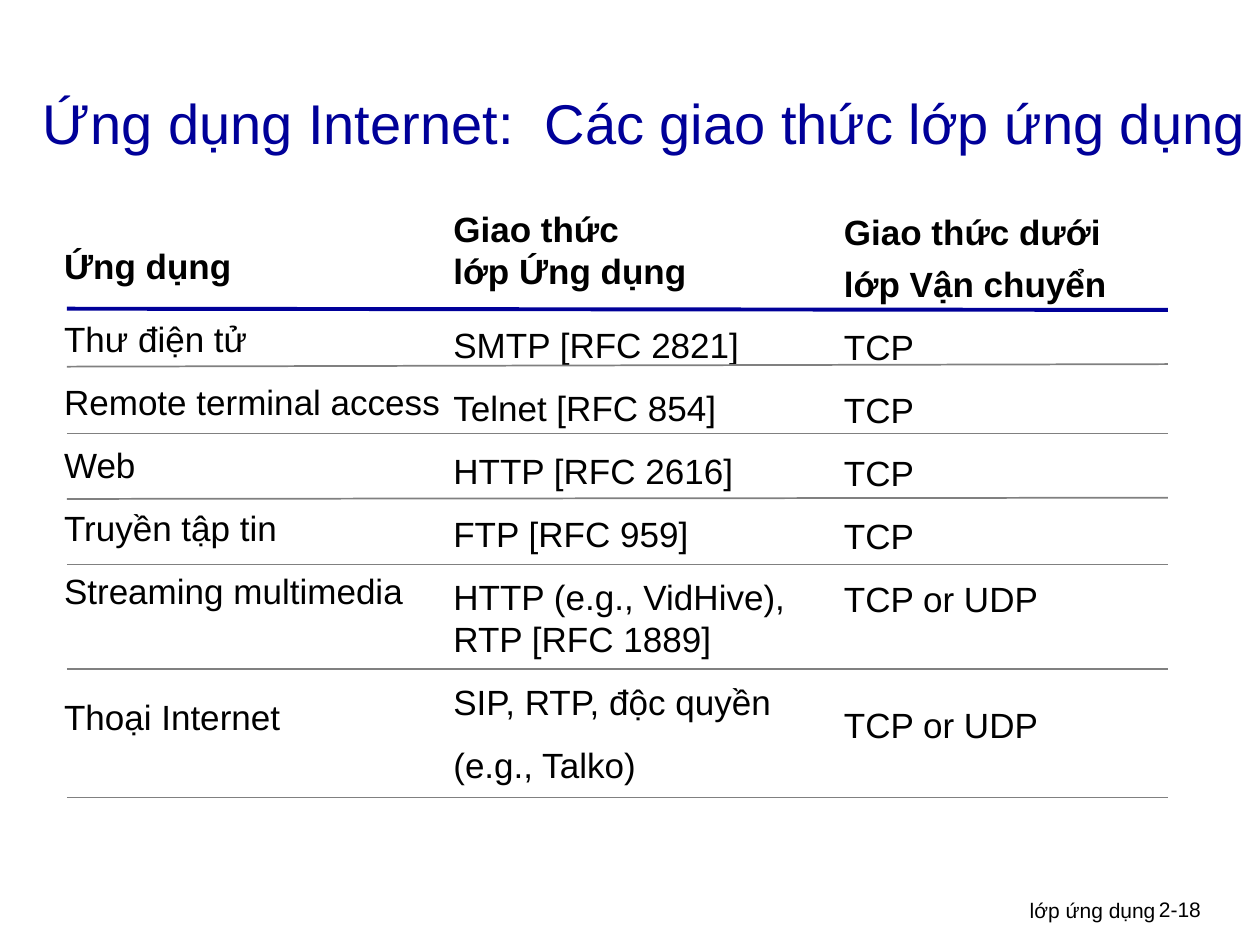
from dataclasses import dataclass

from lxml.etree import SubElement
from pptx import Presentation
from pptx.dml.color import RGBColor
from pptx.enum.shapes import MSO_CONNECTOR
from pptx.enum.text import MSO_ANCHOR, MSO_AUTO_SIZE, PP_ALIGN
from pptx.oxml.ns import qn
from pptx.slide import Slide
from pptx.util import Inches, Pt

SLIDE_WIDTH, SLIDE_HEIGHT = Inches(10), Inches(7.5)
COLUMN, ROW = SLIDE_WIDTH / 100, SLIDE_HEIGHT / 75
COLORS = {"heading": "000099", "text": "000000", "divider": "808080"}
FONT = "Arial"
DIVIDER_LEFT, DIVIDER_RIGHT = 5.3, 92.7


@dataclass(frozen=True)
class Line:
    """A paragraph; a newline in its words becomes a line break."""
    words: str
    size: float = 20
    space_before: float = 0
    bold: bool = False
    color: str = "text"


@dataclass(frozen=True)
class Block:
    """Text on the grid: left and width in columns, top and height in rows."""
    left: float
    top: float
    width: float
    height: float
    lines: list[Line]
    align: PP_ALIGN = PP_ALIGN.LEFT
    anchor: MSO_ANCHOR = MSO_ANCHOR.TOP
    grows: bool = False


@dataclass(frozen=True)
class Divider:
    """A rule across the listing, its ends given in rows."""
    start: float
    end: float
    color: str = "divider"
    weight: float = 1


def entries(words: list[str], first_gap: float = 12,
            gaps: dict[str, float] | None = None) -> list[Line]:
    """Body lines 12 points apart, except the first and those named in gaps."""
    special = {words[0]: first_gap} if first_gap != 12 else {}
    special.update(gaps or {})
    return [Line(text, space_before=special.get(text, 12)) for text in words]


def draw_block(slide: Slide, block: Block) -> None:
    box = slide.shapes.add_textbox(
        round(block.left * COLUMN), round(block.top * ROW),
        round(block.width * COLUMN), round(block.height * ROW))
    frame = box.text_frame
    frame.word_wrap = True
    frame.vertical_anchor = block.anchor
    if block.grows:
        frame.auto_size = MSO_AUTO_SIZE.SHAPE_TO_FIT_TEXT
    for index, line in enumerate(block.lines):
        paragraph = frame.add_paragraph() if index else frame.paragraphs[0]
        paragraph.alignment = block.align
        if index:
            paragraph.space_before = Pt(line.space_before)
        for part, words in enumerate(line.words.split("\n")):
            if part:
                paragraph.add_line_break()
            run = paragraph.add_run()
            run.text = words
            run.font.name = FONT
            run.font.size = Pt(line.size)
            run.font.bold = line.bold
            run.font.color.rgb = RGBColor.from_string(COLORS[line.color])


def draw_divider(slide: Slide, divider: Divider) -> None:
    rule = slide.shapes.add_connector(
        MSO_CONNECTOR.STRAIGHT,
        round(DIVIDER_LEFT * COLUMN), round(divider.start * ROW),
        round(DIVIDER_RIGHT * COLUMN), round(divider.end * ROW))
    rule.line.color.rgb = RGBColor.from_string(COLORS[divider.color])
    rule.line.width = Pt(divider.weight)
    SubElement(rule.line._get_or_add_ln().getparent(), qn("a:effectLst"))


# A row that sits beside a two-line neighbour skips one line.
SKIP = 48

BLOCKS = [
    Block(61, 70.7, 31.7, 3.1, [Line("lớp ứng dụng", size=12)],
          align=PP_ALIGN.RIGHT),
    Block(91, 70.7, 7.4, 3, [Line("2-18", size=12)]),
    Block(2.4, 5.1, 97.6, 9.2,
          [Line("Ứng dụng Internet:  Các giao thức lớp ứng dụng",
                size=32, color="heading")],
          anchor=MSO_ANCHOR.MIDDLE),
    Block(4.1, 18.9, 32.1, 46.3,
          [Line("Ứng dụng", bold=True)]
          + entries(["Thư điện tử", "Remote terminal access", "Web",
                     "Truyền tập tin", "Streaming multimedia",
                     "Thoại Internet"],
                    first_gap=18, gaps={"Thoại Internet": SKIP}),
          grows=True),
    Block(35, 16, 30.7, 47.3,
          [Line("Giao thức", bold=True), Line("lớp Ứng dụng", bold=True)]
          + entries(["SMTP [RFC 2821]", "Telnet [RFC 854]",
                     "HTTP [RFC 2616]", "FTP [RFC 959]",
                     "HTTP (e.g., VidHive),\nRTP [RFC 1889]",
                     "SIP, RTP, độc quyền", "(e.g., Talko)"],
                    first_gap=18),
          grows=True),
    Block(66, 16.2, 31, 44.8,
          [Line("Giao thức dưới", bold=True),
           Line("lớp Vận chuyển", space_before=6, bold=True)]
          + entries(["TCP"] * 4 + ["TCP or UDP"])
          + [Line("TCP or UDP", space_before=SKIP)],
          grows=True),
]

DIVIDERS = [
    Divider(24.5, 24.6, color="heading", weight=2.25),
    Divider(29.1, 28.9),
    Divider(34.4, 34.4),
    Divider(39.6, 39.5),
    Divider(44.8, 44.8),
    Divider(53.1, 53.1),
    Divider(63.3, 63.3),
]


def main() -> None:
    presentation = Presentation()
    presentation.slide_width = SLIDE_WIDTH
    presentation.slide_height = SLIDE_HEIGHT
    slide = presentation.slides.add_slide(presentation.slide_layouts[6])
    for block in BLOCKS:
        draw_block(slide, block)
    for divider in DIVIDERS:
        draw_divider(slide, divider)
    presentation.save("out.pptx")


if __name__ == "__main__":
    main()
